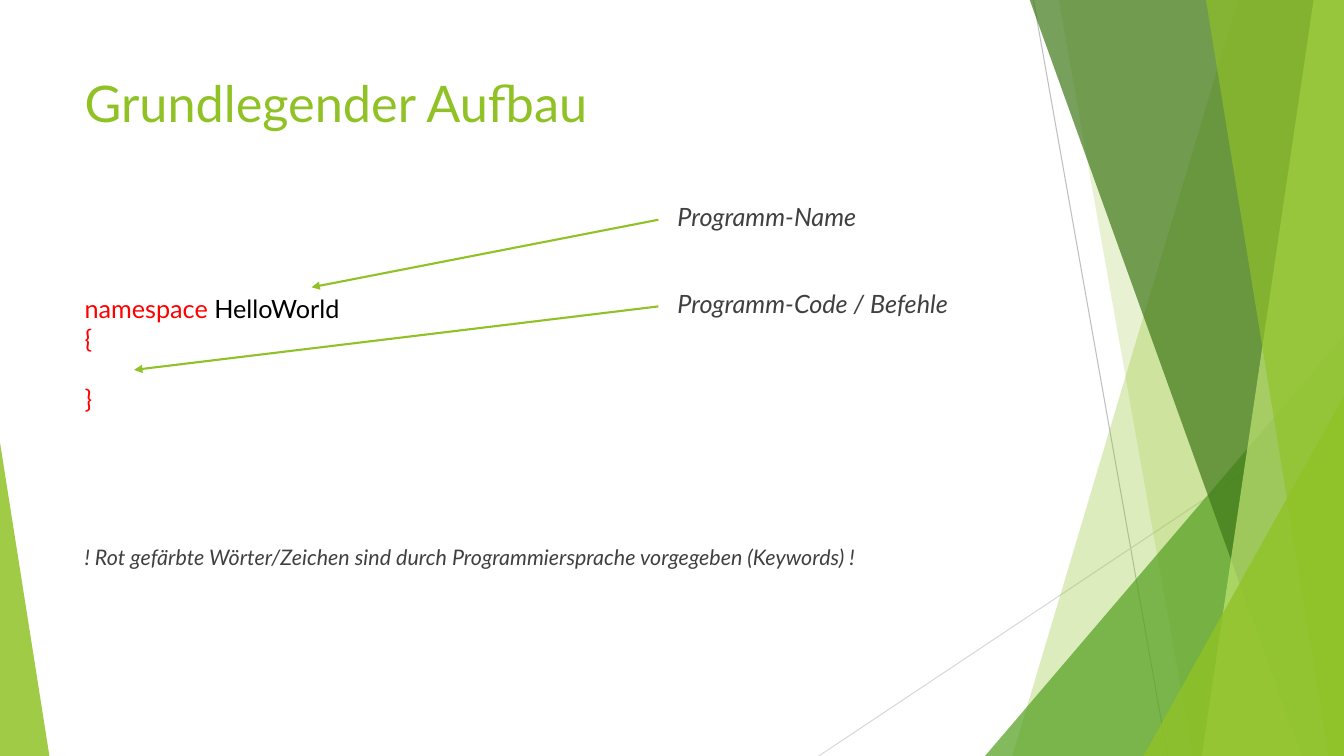
from dataclasses import dataclass

from lxml import etree
from pptx import Presentation
from pptx import util as u
from pptx.dml.color import RGBColor
from pptx.enum import shapes, text
from pptx.oxml import ns


@dataclass(frozen=True)
class Theme:
    font: str = "Lato"
    accent: str = "90C226"
    green: str = "54A021"
    dark_green: str = "3F7819"
    light_green: str = "C0E474"
    body: str = "404040"
    keyword: str = "FF0000"
    code: str = "000000"
    grey: str = "BFBFBF"
    light_grey: str = "D9D9D9"
    title_size: float = 36
    text_size: float = 18
    note_size: float = 15.3


theme = Theme()
WIDTH, HEIGHT, TOP = 13.33, 7.5, -0.01

presentation = Presentation()
presentation.slide_width = u.Inches(WIDTH)
presentation.slide_height = u.Inches(HEIGHT)
slide = presentation.slides.add_slide(presentation.slide_layouts[5])


def add_line(start, end, color, width, arrow=False):
    points = [u.Inches(value) for value in (*start, *end)]
    line = slide.shapes.add_connector(shapes.MSO_CONNECTOR.STRAIGHT, *points)
    line.line.color.rgb = RGBColor.from_string(color)
    line.line.width = u.Pt(width)
    if arrow:
        outline = line.line._get_or_add_ln()
        etree.SubElement(outline, ns.qn("a:tailEnd"), type="triangle")
    etree.SubElement(line.element.spPr, ns.qn("a:effectLst"))


def style_runs(paragraph, size, *colors, italic=False):
    paragraph.alignment = text.PP_ALIGN.LEFT
    paragraph.font.size = u.Pt(size)
    for run, color in zip(paragraph.runs, colors):
        run.font.name = theme.font
        run.font.size = u.Pt(size)
        run.font.italic = italic
        run.font.color.rgb = RGBColor.from_string(color)


# Thin background lines
add_line((10.25, 0), (11.58, HEIGHT), theme.grey, 0.75)
add_line((WIDTH, 4.03), (8.12, HEIGHT), theme.light_grey, 0.75)

# Translucent facets: bands give top and bottom x of their slanted left edge,
# triangles give left, top, width and the apex position
facets = [
    ("band", (12.28, 10.04), theme.accent, 30),
    ("band", (10.5, 11.83), theme.accent, 20),
    ("triangle", (9.77, 3.33, 3.56, 1), theme.green, 72),
    ("band", (10.21, 12.91), theme.dark_green, 70),
    ("band", (13.03, 11.92), theme.light_green, 70),
    ("band", (11.96, 13.18), theme.accent, 65),
    ("triangle", (11.34, 3.93, 1.99, 1), theme.accent, 80),
    ("triangle", (0, 4.39, 0.49, 0), theme.accent, 85),
]
for kind, geometry, color, opacity in facets:
    if kind == "band":
        top_x, bottom_x = geometry
        builder = slide.shapes.build_freeform(u.Inches(top_x), u.Inches(TOP))
        corners = [(WIDTH, TOP), (WIDTH, HEIGHT), (bottom_x, HEIGHT)]
        builder.add_line_segments([(u.Inches(x), u.Inches(y)) for x, y in corners])
        facet = builder.convert_to_shape()
    else:
        left, top, width, apex = geometry
        facet = slide.shapes.add_shape(
            shapes.MSO_SHAPE.ISOSCELES_TRIANGLE,
            u.Inches(left), u.Inches(top), u.Inches(width), u.Inches(HEIGHT - top))
        facet.adjustments[0] = apex
    facet.shadow.inherit = False
    facet.line.fill.background()
    facet.fill.solid()
    facet.fill.fore_color.rgb = RGBColor.from_string(color)
    color_element = facet.element.spPr.find(".//" + ns.qn("a:srgbClr"))
    etree.SubElement(color_element, ns.qn("a:alpha"), val=str(opacity * 1000))

# Title, in front of the facets
title = slide.shapes.title
title.element.getparent().append(title.element)
title.left, title.top = u.Inches(0.74), u.Inches(0.67)
title.width, title.height = u.Inches(9.4), u.Inches(1.44)
title.text_frame.text = "Grundlegender Aufbau"
title.text_frame.vertical_anchor = text.MSO_ANCHOR.TOP
title.text_frame.auto_size = text.MSO_AUTO_SIZE.NONE
style_runs(title.text_frame.paragraphs[0], theme.title_size, theme.accent)

# Code sample
code_box = slide.shapes.add_textbox(
    u.Inches(0.74), u.Inches(2.85), u.Inches(5.62), u.Inches(1.31))
code_frame = code_box.text_frame
code_frame.word_wrap = True
code_frame.vertical_anchor = text.MSO_ANCHOR.MIDDLE
code_frame.text = "namespace \n{\n\n}"
code_frame.paragraphs[0].add_run().text = "HelloWorld"
for paragraph in code_frame.paragraphs:
    style_runs(paragraph, theme.text_size, theme.keyword, theme.code)

# Arrows from the labels to the code
add_line((6.53, 2.18), (3.09, 2.85), theme.accent, 1.5, arrow=True)
add_line((6.53, 3.04), (1.33, 3.67), theme.accent, 1.5, arrow=True)

# Labels and closing note
remarks = [
    ("Programm-Name", 6.62, 1.95, 2.09, theme.text_size),
    ("Programm-Code / Befehle", 6.62, 2.81, 3.68, theme.text_size),
    ("! Rot gefärbte Wörter/Zeichen sind durch Programmiersprache vorgegeben (Keywords) !",
     0.74, 5.35, 9.56, theme.note_size),
]
for wording, left, top, width, size in remarks:
    remark = slide.shapes.add_textbox(
        u.Inches(left), u.Inches(top), u.Inches(width), u.Inches(0.46))
    remark.text_frame.word_wrap = True
    remark.text_frame.text = wording
    style_runs(remark.text_frame.paragraphs[0], size, theme.body, italic=True)

presentation.save("out.pptx")
